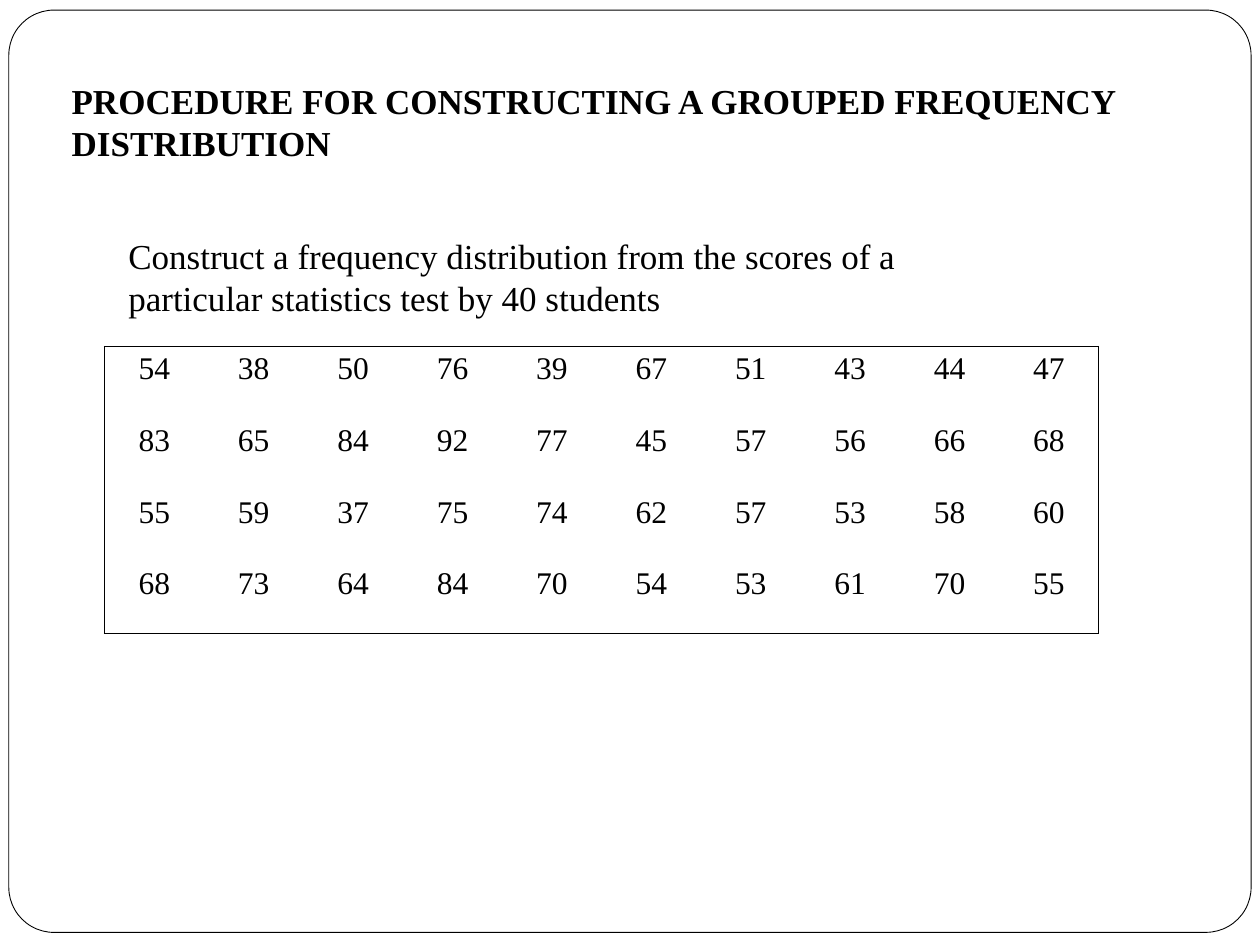
from dataclasses import dataclass

from lxml import etree
from pptx import Presentation
from pptx.dml.color import RGBColor
from pptx.enum.shapes import MSO_SHAPE
from pptx.enum.text import MSO_AUTO_SIZE, PP_ALIGN
from pptx.oxml.ns import qn
from pptx.util import Inches, Pt

ROUNDED = MSO_SHAPE.ROUNDED_RECTANGLE
FIT_SHAPE = MSO_AUTO_SIZE.SHAPE_TO_FIT_TEXT
CENTER = PP_ALIGN.CENTER
BLANK_LAYOUT = 6


@dataclass(frozen=True)
class Theme:
    font: str = "Times New Roman"
    ink: str = "000000"
    paper: str = "FFFFFF"
    text_size: int = 20
    score_size: int = 18
    frame_line: float = 0.5
    table_line: float = 1


THEME = Theme()

# Text, (left, top, width, height) in inches, bold
TEXTS = [
    ("PROCEDURE FOR CONSTRUCTING A GROUPED FREQUENCY DISTRIBUTION",
     (0.47, 0.58, 8.61, 0.77), True),
    ("Construct a frequency distribution from the scores of a particular "
     "statistics test by 40 students",
     (0.92, 1.81, 7.17, 0.77), False),
]
SCORES = [
    [54, 38, 50, 76, 39, 67, 51, 43, 44, 47],
    [83, 65, 84, 92, 77, 45, 57, 56, 66, 68],
    [55, 59, 37, 75, 74, 62, 57, 53, 58, 60],
    [68, 73, 64, 84, 70, 54, 53, 61, 70, 55],
]
FRAME_BOX = (0.07, 0.08, 9.86, 7.32)
FRAME_ROUNDING = 0.049
TABLE_BOX = (0.83, 2.75, 7.89, 2.28)
CELL_MARGIN_X, CELL_MARGIN_Y = 0.07, 0.04


def inches(box):
    return [Inches(length) for length in box]


def style_font(para, size, bold=False):
    font = para.font
    font.name = THEME.font
    font.size = Pt(size)
    font.bold = bold
    font.color.rgb = RGBColor.from_string(THEME.ink)


def add_frame(page):
    frame = page.shapes.add_shape(ROUNDED, *inches(FRAME_BOX))
    frame.adjustments[0] = FRAME_ROUNDING
    frame.shadow.inherit = False
    frame.fill.solid()
    frame.fill.fore_color.rgb = RGBColor.from_string(THEME.paper)
    frame.line.color.rgb = RGBColor.from_string(THEME.ink)
    frame.line.width = Pt(THEME.frame_line)


def add_text(page, text, box, bold):
    text_frame = page.shapes.add_textbox(*inches(box)).text_frame
    text_frame.word_wrap = True
    text_frame.auto_size = FIT_SHAPE
    para = text_frame.paragraphs[0]
    para.text = text
    style_font(para, THEME.text_size, bold)


def set_borders(cell, drawn):
    """Draw the sides named in drawn and clear the others."""
    properties = cell._tc.get_or_add_tcPr()
    for side in ("L", "R", "T", "B"):
        line = etree.SubElement(properties, qn(f"a:ln{side}"))
        if side in drawn:
            line.set("w", str(Pt(THEME.table_line)))
            fill = etree.SubElement(line, qn("a:solidFill"))
            etree.SubElement(fill, qn("a:srgbClr"), val=THEME.ink)
        else:
            etree.SubElement(line, qn("a:noFill"))


def outer_sides(row, column, row_count, column_count):
    edges = {"L": column == 0, "R": column == column_count - 1,
             "T": row == 0, "B": row == row_count - 1}
    return [side for side, on_edge in edges.items() if on_edge]


def add_scores(page):
    row_count, column_count = len(SCORES), len(SCORES[0])
    table = page.shapes.add_table(
        row_count, column_count, *inches(TABLE_BOX)).table
    table.first_row = False
    table.horz_banding = False
    for row, scores in enumerate(SCORES):
        for column, score in enumerate(scores):
            cell = table.cell(row, column)
            set_borders(cell, outer_sides(row, column, row_count, column_count))
            cell.fill.background()
            cell.margin_left = cell.margin_right = Inches(CELL_MARGIN_X)
            cell.margin_top = cell.margin_bottom = Inches(CELL_MARGIN_Y)
            cell.text = str(score)
            para = cell.text_frame.paragraphs[0]
            para.alignment = CENTER
            style_font(para, THEME.score_size)


def main():
    deck = Presentation()
    deck.slide_width, deck.slide_height = Inches(10), Inches(7.5)
    page = deck.slides.add_slide(deck.slide_layouts[BLANK_LAYOUT])
    add_frame(page)
    for text, box, bold in TEXTS:
        add_text(page, text, box, bold)
    add_scores(page)
    deck.save("out.pptx")


if __name__ == "__main__":
    main()
